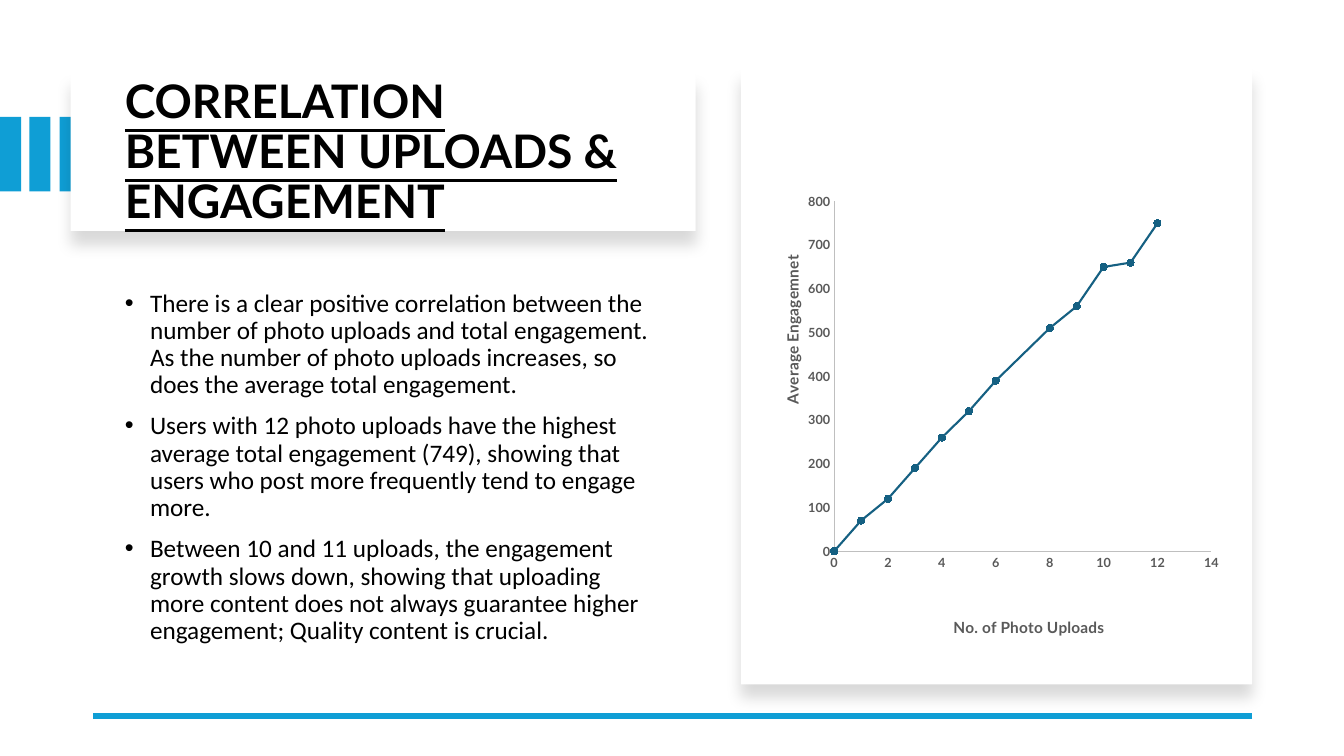
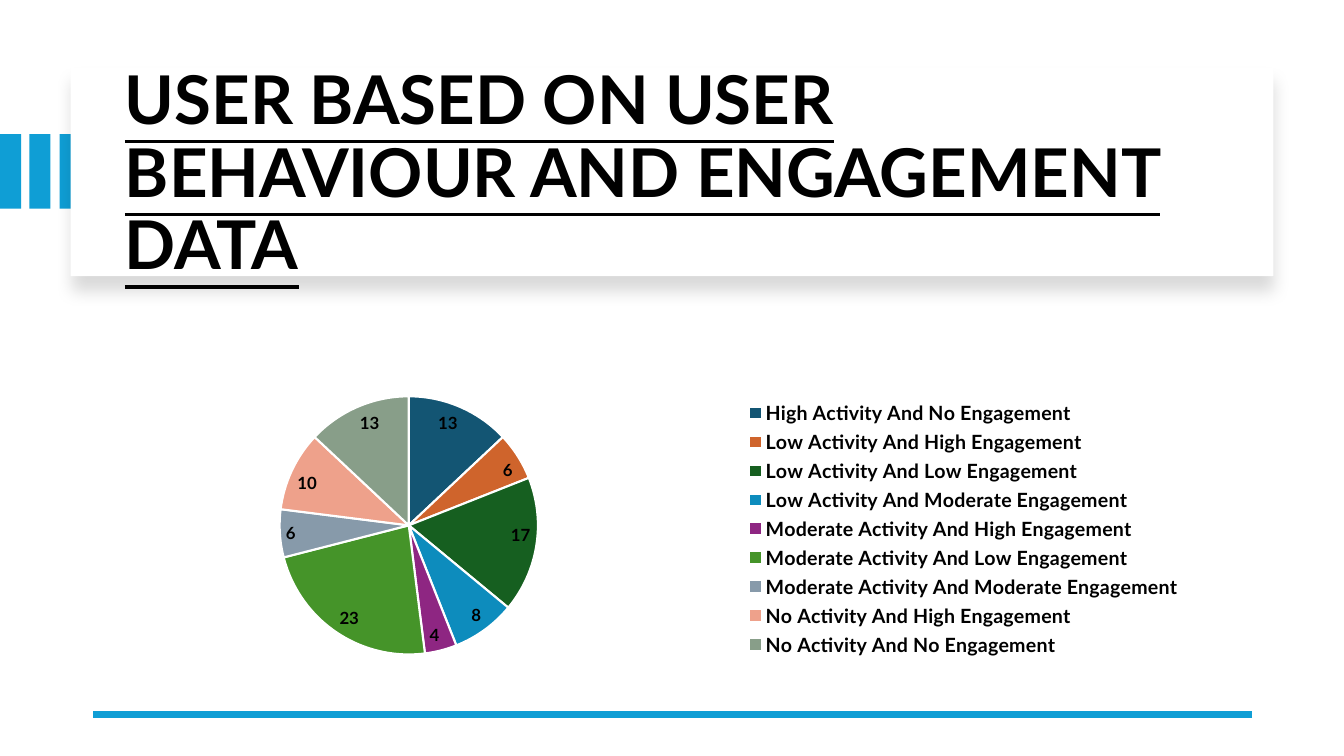
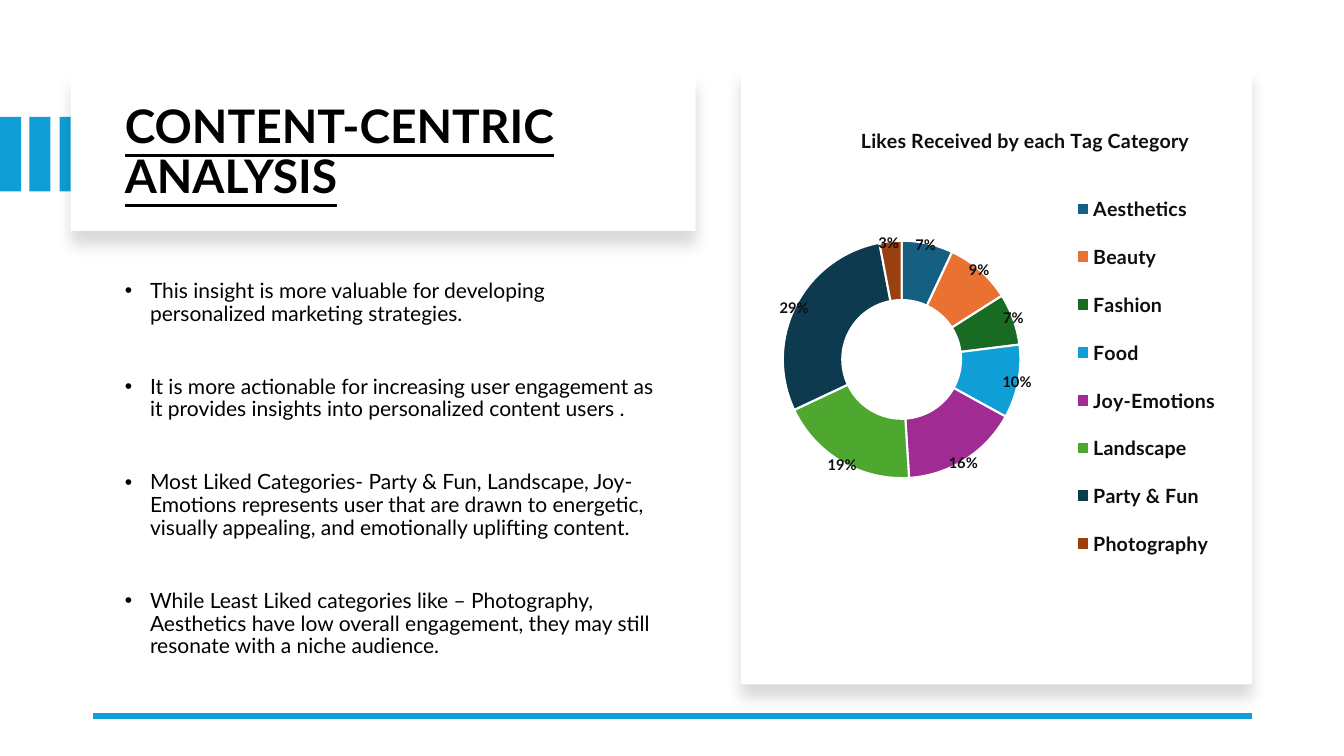
from copy import deepcopy
from dataclasses import dataclass
from math import cos, pi, sin
from typing import NamedTuple

from lxml.etree import SubElement as Sub
from pptx import Presentation
from pptx.chart.data import CategoryChartData as CatData, XyChartData as XyData
from pptx.dml.color import RGBColor as RGB
from pptx.enum.chart import (XL_CHART_TYPE as Kind, XL_LABEL_POSITION as Spot,
                             XL_LEGEND_POSITION as Side, XL_MARKER_STYLE as Mark,
                             XL_TICK_MARK as Tick)
from pptx.enum.shapes import MSO_CONNECTOR as Link, MSO_SHAPE as Shape
from pptx.enum.text import MSO_ANCHOR as Anchor
from pptx.oxml.ns import qn
from pptx.util import Emu, Pt

SCALE = 9144  # EMU in one px, 100 px to the inch


def px(num: int) -> Emu:
    return Emu(num * SCALE)


@dataclass(frozen=True)
class Theme:
    ink: str = "000000"
    paper: str = "FFFFFF"
    blue: str = "0F9ED5"
    deep: str = "156082"
    gray: str = "595959"
    rule: str = "BFBFBF"
    soft: str = "0D0D0D"
    face: str = "Lato"
    plain: str = "Calibri"
    big: float = 48
    head: float = 33
    body: float = 18
    note: float = 15
    key: float = 14
    label: float = 12
    axis: float = 11
    ring: float = 10.5
    base: float = 10
    tick: float = 9
    pie: tuple = ("135573", "CF642C", "165F20", "0D8CBD", "8E2682",
                  "459429", "879AAA", "EEA18B", "889E89")
    donut: tuple = ("156082", "E97132", "196B24", "0F9ED5", "A02B93",
                    "4EA72E", "0D3A4E", "994010")


class Box(NamedTuple):
    x: int
    y: int
    w: int
    h: int

    def emu(self) -> list:
        return [px(n) for n in self]


@dataclass(frozen=True)
class Frame:
    """Places of the parts every slide shares."""
    card: Box
    title: Box
    size: float
    tabs: int
    foot: int


T = Theme()
HALF = Frame(Box(70, 72, 620, 157), Box(114, 96, 553, 113), T.head, 116, 710)
WIDE = Frame(Box(70, 67, 1193, 207), Box(114, 89, 1113, 170), T.big, 133, 709)
PANEL = Box(735, 67, 507, 612)
GRAPH = Box(758, 99, 462, 560)


# Text

def style(font, size: float, color: str = T.ink, face: str = T.face,
          bold: bool = False, under: bool = False) -> None:
    font.size, font.name = Pt(size), face
    font.bold, font.underline = bold, under
    font.color.rgb = RGB.from_string(color)


def write(slide, lines: list, box: Box, *, anchor=Anchor.TOP, bullet: bool = False,
          gap: float = 0, inset: int = 0, **form) -> None:
    frame = slide.shapes.add_textbox(*box.emu()).text_frame
    frame.word_wrap, frame.vertical_anchor = True, anchor
    frame.margin_top = frame.margin_bottom = px(inset)
    for num, line in enumerate(lines):
        para = frame.paragraphs[0] if num == 0 else frame.add_paragraph()
        para.line_spacing = 0.9
        para.space_before = Pt(gap if num else 0)
        run = para.add_run()
        run.text = line
        style(run.font, **form)
        if bullet:
            prop = para._p.get_or_add_pPr()
            prop.set("marL", str(px(25)))
            prop.set("indent", str(px(-25)))
            Sub(prop, qn("a:buFont")).set("typeface", "Arial")
            Sub(prop, qn("a:buChar")).set("char", "•")


# Shared parts

def block(slide, box: Box, color: str, shade: bool = False) -> None:
    shape = slide.shapes.add_shape(Shape.RECTANGLE, *box.emu())
    shape.fill.solid()
    shape.fill.fore_color.rgb = RGB.from_string(color)
    shape.line.fill.background()
    shape.shadow.inherit = False
    if shade:
        glow = Sub(shape.element.spPr.find(qn("a:effectLst")), qn("a:outerShdw"),
                   blurRad=str(Pt(11)), dist=str(Pt(10)), dir="5400000",
                   rotWithShape="0")
        tint = Sub(glow, qn("a:srgbClr"), val=T.ink)
        Sub(tint, qn("a:alpha"), val="15000")


def start(deck, title: str, frame: Frame):
    slide = deck.slides.add_slide(deck.slide_layouts[6])
    for num in range(3):
        block(slide, Box(num * 59 // 2, frame.tabs, 21, 74), T.blue)
    block(slide, frame.card, T.paper, shade=True)
    write(slide, [title], frame.title, anchor=Anchor.MIDDLE, inset=5,
          size=frame.size, bold=True, under=True)
    if frame is HALF:
        block(slide, PANEL, T.paper, shade=True)
    y = px(frame.foot)
    line = slide.shapes.add_connector(Link.STRAIGHT, px(1242), y, px(92), y)
    line.line.color.rgb = RGB.from_string(T.blue)
    line.line.width = Pt(4.5)
    Sub(line.element.spPr, qn("a:effectLst"))
    return slide


# Chart parts

def place(node, at: int, **spots) -> None:
    """Give a chart part a fixed place, in fractions of the chart."""
    for old in node.findall(qn("c:layout")):
        node.remove(old)
    lay = Sub(node, qn("c:layout"))
    node.insert(at, lay)
    man = Sub(lay, qn("c:manualLayout"))
    for name, val in spots.items():
        Sub(man, qn("c:" + name), val=str(val))


def locate(node, at: int, x: float, y: float, **size) -> None:
    place(node, at, xMode="edge", yMode="edge", x=x, y=y, **size)


def caption(title, text: str, x: float, y: float, size: float, color: str,
            turn: bool = False) -> None:
    para = title.text_frame.paragraphs[0]
    run = para.add_run()
    run.text = text
    style(run.font, size, color, bold=True)
    node = title._element
    locate(node, 1, x, y)
    if turn:
        prop = node.find(".//" + qn("a:bodyPr"))
        prop.set("rot", "-5400000")
        prop.set("vert", "horz")


def graph(slide, kind, data, box: Box, plot: tuple):
    chart = slide.shapes.add_chart(kind, *box.emu(), data).chart
    style(chart.font, T.base)
    chart.has_title = chart.has_legend = False
    x, y, w, h = plot
    area = chart._chartSpace.find(".//" + qn("c:plotArea"))
    place(area, 0, layoutTarget="inner", xMode="edge", yMode="edge",
          x=x, y=y, w=w, h=h)
    return chart


def slices(chart, fills: tuple, key: tuple, color: str) -> None:
    """Colour the slices and set the legend."""
    plot = chart.plots[0]
    plot.vary_by_categories = True
    for num, fill in enumerate(fills):
        form = plot.series[0].points[num].format
        form.fill.solid()
        form.fill.fore_color.rgb = RGB.from_string(fill)
        form.line.color.rgb = RGB.from_string(T.paper)
        form.line.width = Pt(1.5)
    chart.has_legend = True
    legend = chart.legend
    legend.position, legend.include_in_layout = Side.RIGHT, False
    style(legend.font, T.key, color, bold=True)
    x, y, w, h = key
    locate(legend._element, 1, x, y, w=w, h=h)


def push(labels, vals: list, step: int, box: Box) -> None:
    """Move ring labels outward along the middle of each slice."""
    node, total, done = labels._element, sum(vals), 0
    for num, val in enumerate(vals):
        turn = 2 * pi * (done + val / 2) / total
        done += val
        label = Sub(node, qn("c:dLbl"))
        node.insert(num, label)
        Sub(label, qn("c:idx"), val=str(num))
        place(label, 1, x=round(step * sin(turn) / box.w, 2),
              y=round(-step * cos(turn) / box.h, 2))
        label.append(deepcopy(node.find(qn("c:txPr"))))
        for name in ("LegendKey", "Val", "CatName", "SerName", "Percent", "BubbleSize"):
            Sub(label, qn("c:show" + name), val=str(int(name == "Percent")))


# Slides

def uploads(deck) -> None:
    slide = start(deck, "CORRELATION BETWEEN UPLOADS & ENGAGEMENT", HALF)
    write(slide, [
        "There is a clear positive correlation between the number of photo uploads and "
        "total engagement. As the number of photo uploads increases, so does the average "
        "total engagement.",
        "Users with 12 photo uploads have the highest average total engagement (749), "
        "showing that users who post more frequently tend to engage more.",
        "Between 10 and 11 uploads, the engagement growth slows down, showing that "
        "uploading more content does not always guarantee higher engagement; Quality "
        "content is crucial.",
    ], Box(114, 288, 546, 360), bullet=True, gap=10, size=T.body, face=T.plain)

    data = XyData()
    row = data.add_series("Series 1")
    counts = [0, 1, 2, 3, 4, 5, 6, 8, 9, 10, 11, 12]
    means = [0, 70, 120, 190, 260, 320, 390, 510, 560, 650, 660, 750]
    for x, y in zip(counts, means):
        row.add_data_point(x, y)
    chart = graph(slide, Kind.XY_SCATTER_LINES, data, GRAPH, (0.15, 0.18, 0.81, 0.62))
    chart.plots[0].vary_by_categories = False

    line = chart.plots[0].series[0]
    deep = RGB.from_string(T.deep)
    line.smooth = False
    line.format.line.color.rgb = deep
    line.format.line.width = Pt(1.5)
    line.marker.style, line.marker.size = Mark.CIRCLE, 5
    line.marker.format.fill.solid()
    line.marker.format.fill.fore_color.rgb = deep
    line.marker.format.line.color.rgb = deep

    for axis, top, unit in ((chart.category_axis, 14, 2), (chart.value_axis, 800, 100)):
        axis.minimum_scale, axis.maximum_scale, axis.major_unit = 0, top, unit
        axis.has_major_gridlines = False
        axis.major_tick_mark = axis.minor_tick_mark = Tick.NONE
        style(axis.tick_labels.font, T.tick, T.gray, bold=True)
        axis.format.line.color.rgb = RGB.from_string(T.rule)
        axis.format.line.width = Pt(0.75)
    caption(chart.category_axis.axis_title, "No. of Photo Uploads", 0.4, 0.91,
            T.axis, T.gray)
    caption(chart.value_axis.axis_title, "Average Engagemnet", 0.03, 0.27,
            T.axis, T.gray, turn=True)


def users(deck) -> None:
    slide = start(deck, "USER BASED ON USER BEHAVIOUR AND ENGAGEMENT DATA", WIDE)
    data = CatData()
    data.categories = [
        "High Activity And No Engagement", "Low Activity And High Engagement",
        "Low Activity And Low Engagement", "Low Activity And Moderate Engagement",
        "Moderate Activity And High Engagement", "Moderate Activity And Low Engagement",
        "Moderate Activity And Moderate Engagement", "No Activity And High Engagement",
        "No Activity And No Engagement"]
    data.add_series("Series 1", [13, 6, 17, 8, 4, 23, 6, 10, 13])
    chart = graph(slide, Kind.PIE, data, Box(99, 330, 1135, 351),
                  (0.05, 0.18, 0.44, 0.73))
    slices(chart, T.pie, (0.56, 0.18, 0.39, 0.75), T.ink)
    labels = chart.plots[0].series[0].data_labels
    labels.show_value, labels.position = True, Spot.INSIDE_END
    style(labels.font, T.label, bold=True)


def content(deck) -> None:
    slide = start(deck, "CONTENT-CENTRIC ANALYSIS", HALF)
    write(slide, [
        "This insight is more valuable for developing personalized marketing strategies.",
        "It is more actionable for increasing user engagement as it provides insights "
        "into personalized content users .",
        "Most Liked Categories- Party & Fun, Landscape, Joy-Emotions represents user that "
        "are drawn to energetic, visually appealing, and emotionally uplifting content.",
        "While Least Liked categories like – Photography, Aesthetics have low overall "
        "engagement, they may still resonate with a niche audience.",
    ], Box(114, 278, 546, 380), bullet=True, gap=36, size=T.note)

    data = CatData()
    data.categories = ["Aesthetics", "Beauty", "Fashion", "Food", "Joy-Emotions",
                       "Landscape", "Party & Fun", "Photography"]
    vals = [7, 9, 7, 10, 16, 19, 29, 3]
    data.add_series("Series 1", vals)
    chart = graph(slide, Kind.DOUGHNUT, data, GRAPH, (0.04, 0.21, 0.51, 0.5))
    chart.has_title = True
    caption(chart.chart_title, "Likes Received by each Tag Category", 0.2, 0.04,
            T.key, T.soft)
    slices(chart, T.donut, (0.67, 0.13, 0.3, 0.72), T.soft)
    chart._chartSpace.find(".//" + qn("c:holeSize")).set("val", "75")
    labels = chart.plots[0].series[0].data_labels
    labels.show_value, labels.show_percentage = False, True
    style(labels.font, T.ring, T.soft, bold=True)
    push(labels, vals, 30, GRAPH)


def main() -> None:
    deck = Presentation()
    deck.slide_width, deck.slide_height = px(1333), px(750)
    for draw in (uploads, users, content):
        draw(deck)
    deck.save("out.pptx")


if __name__ == "__main__":
    main()
